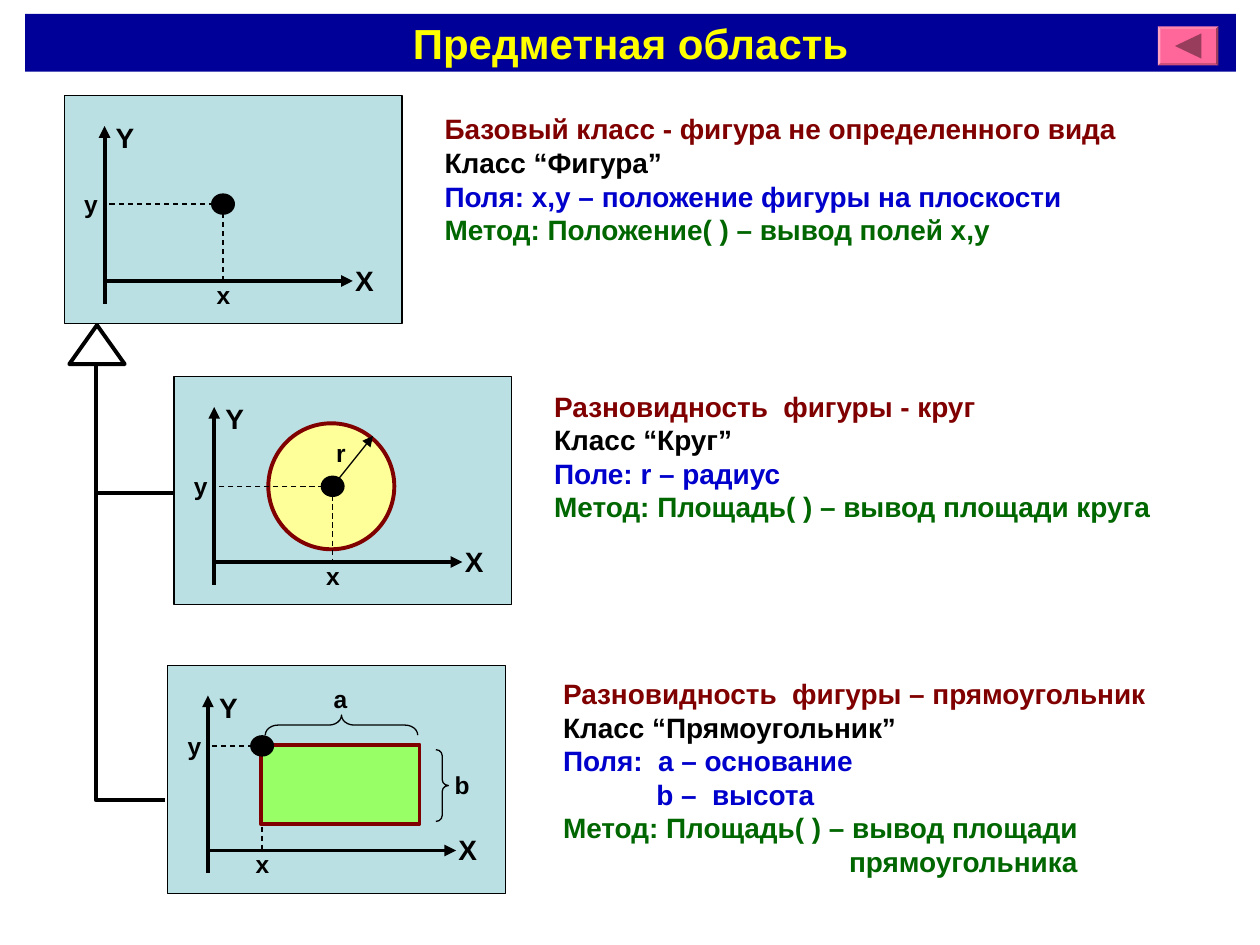
"""Build the slide on a class hierarchy of plane figures."""
from dataclasses import dataclass

from lxml.etree import SubElement
from pptx import Presentation
from pptx.dml.color import RGBColor
from pptx.enum.dml import MSO_LINE_DASH_STYLE as Dash
from pptx.enum.shapes import MSO_CONNECTOR as Connector, MSO_SHAPE as Shape
from pptx.enum.text import MSO_ANCHOR as Anchor, MSO_AUTO_SIZE as AutoSize, PP_ALIGN as Align
from pptx.oxml.ns import qn
from pptx.util import Inches, Pt


@dataclass(frozen=True)
class Theme:
    font: str = "Arial"
    dash_font: str = "Montserrat"
    black: str = "000000"
    banner: str = "000099"
    title: str = "FFFF00"
    button: str = "FF6699"
    button_mark: str = "993D5C"
    panel: str = "BBE0E3"
    circle: str = "FFFF99"
    rectangle: str = "99FF66"
    maroon: str = "800000"
    blue: str = "0000CC"
    green: str = "006600"
    title_size: float = 24
    text_size: float = 16
    label_size: float = 14
    thick: float = 2.25
    thin: float = 0.75


@dataclass(frozen=True)
class Figure:
    kind: Shape
    left: float
    top: float
    width: float
    height: float
    fill: str


@dataclass(frozen=True)
class Panel:
    left: float
    top: float
    point_x: float
    point_y: float
    guide_top: float
    figure: Figure | None = None


@dataclass(frozen=True)
class Line:
    text: str
    color: str
    indent: float = 0


@dataclass(frozen=True)
class Description:
    left: float
    top: float
    width: float
    height: float
    lines: tuple[Line, ...]
    wrap: bool = False


THEME = Theme()

PANELS = (
    Panel(0.51, 0.76, 1.77, 1.62, 1.62),
    Panel(1.38, 2.99, 2.64, 3.86, 3.86, Figure(Shape.OVAL, 2.13, 3.36, 1, 1, THEME.circle)),
    Panel(1.33, 5.28, 2.08, 5.92, 6.56,
          Figure(Shape.RECTANGLE, 2.07, 5.91, 1.26, 0.63, THEME.rectangle)),
)

DESCRIPTIONS = (
    Description(3.43, 0.84, 5.54, 1.17, (
        Line("Базовый класс - фигура не определенного вида", THEME.maroon),
        Line("Класс “Фигура”", THEME.black),
        Line("Поля: x,y – положение фигуры на плоскости", THEME.blue),
        Line("Метод: Положение( ) – вывод полей x,y", THEME.green))),
    Description(4.3, 3.04, 4.95, 1.17, (
        Line("Разновидность  фигуры - круг", THEME.maroon),
        Line("Класс “Круг”", THEME.black),
        Line("Поле: r – радиус", THEME.blue),
        Line("Метод: Площадь( ) – вывод площади круга", THEME.green))),
    Description(4.37, 5.32, 4.88, 1.7, (
        Line("Разновидность  фигуры – прямоугольник", THEME.maroon),
        Line("Класс “Прямоугольник”", THEME.black),
        Line("Поля:  a – основание", THEME.blue),
        Line("b –  высота", THEME.blue, 0.74),
        Line("Метод: Площадь( ) – вывод площади", THEME.green),
        Line("прямоугольника", THEME.green, 2.27)), True),
)


def style_font(font, size: float, color: str) -> None:
    font.name, font.size, font.bold = THEME.font, Pt(size), True
    font.color.rgb = RGBColor.from_string(color)


def style_shape(shape, fill: str | None, line: str | None, weight: float) -> None:
    shape.shadow.inherit = False
    if fill:
        shape.fill.solid()
        shape.fill.fore_color.rgb = RGBColor.from_string(fill)
    else:
        shape.fill.background()
    if line:
        shape.line.color.rgb = RGBColor.from_string(line)
        shape.line.width = Pt(weight)
    else:
        shape.line.fill.background()


def add_figure(page, kind: Shape, left: float, top: float, width: float, height: float,
               fill: str | None = None, line: str | None = None, weight: float = THEME.thin):
    shape = page.shapes.add_shape(kind, Inches(left), Inches(top), Inches(width), Inches(height))
    style_shape(shape, fill, line, weight)
    return shape


def add_line(page, x1: float, y1: float, x2: float, y2: float, weight: float = THEME.thin,
             arrow: bool = False, dashed: bool = False) -> None:
    line = page.shapes.add_connector(Connector.STRAIGHT, Inches(x1), Inches(y1), Inches(x2), Inches(y2))
    line.line.color.rgb = RGBColor.from_string(THEME.black)
    line.line.width = Pt(weight)
    if dashed:
        line.line.dash_style = Dash.DASH
    if arrow:
        SubElement(line.line._get_or_add_ln(), qn("a:tailEnd"), type="triangle")
    SubElement(line._element.spPr, qn("a:effectLst"))


def add_elbow(page, x: float, top: float, bottom: float, right: float) -> None:
    builder = page.shapes.build_freeform(Inches(x), Inches(top))
    builder.add_line_segments([(Inches(x), Inches(bottom)), (Inches(right), Inches(bottom))], close=False)
    style_shape(builder.convert_to_shape(), None, THEME.black, THEME.thick)


def add_text(page, block: Description, size: float) -> None:
    box = page.shapes.add_textbox(Inches(block.left), Inches(block.top),
                                  Inches(block.width), Inches(block.height))
    frame = box.text_frame
    frame.text = "\n".join(line.text for line in block.lines)
    frame.word_wrap = block.wrap
    frame.auto_size = AutoSize.SHAPE_TO_FIT_TEXT
    for para, line in zip(frame.paragraphs, block.lines):
        if line.indent:
            para._p.get_or_add_pPr().set("marL", str(Inches(line.indent)))
        for span in para.runs:
            style_font(span.font, size, line.color)


def add_label(page, text: str, left: float, top: float, size: float = THEME.label_size) -> None:
    width, height = (0.35, 0.37) if size == THEME.text_size else (0.31, 0.34)
    add_text(page, Description(left, top, width, height, (Line(text, THEME.black),)), size)


def draw_panel(page, panel: Panel) -> None:
    axis_x, axis_y = panel.left + 0.32, panel.top + 1.47
    add_figure(page, Shape.RECTANGLE, panel.left, panel.top, 2.68, 1.81, THEME.panel, THEME.black)
    add_line(page, axis_x, panel.top + 1.65, axis_x, panel.top + 0.24, THEME.thick, arrow=True)
    add_line(page, axis_x, axis_y, axis_x + 1.97, axis_y, THEME.thick, arrow=True)
    if panel.figure:
        shape = panel.figure
        add_figure(page, shape.kind, shape.left, shape.top, shape.width, shape.height,
                   shape.fill, THEME.maroon, THEME.thick)
    add_line(page, panel.point_x, panel.guide_top, panel.point_x, axis_y, dashed=True)
    add_line(page, panel.point_x, panel.point_y, axis_x, panel.point_y, dashed=True)
    add_figure(page, Shape.OVAL, panel.point_x - 0.09, panel.point_y - 0.08, 0.18, 0.16,
               THEME.black, THEME.black)
    add_label(page, "X", panel.left + 2.21, panel.top + 1.28, THEME.text_size)
    add_label(page, "Y", panel.left + 0.31, panel.top + 0.15, THEME.text_size)
    add_label(page, "x", panel.point_x - 0.15, panel.top + 1.41)
    add_label(page, "y", panel.left + 0.06, panel.point_y - 0.17)


def draw_header(page) -> None:
    banner = add_figure(page, Shape.RECTANGLE, 0.2, 0.11, 9.61, 0.46, THEME.banner)
    banner.text_frame.text = "Предметная область"
    banner.text_frame.vertical_anchor = Anchor.MIDDLE
    para = banner.text_frame.paragraphs[0]
    para.alignment = Align.CENTER
    style_font(para.runs[0].font, THEME.title_size, THEME.title)
    button = add_figure(page, Shape.BEVEL, 9.19, 0.21, 0.48, 0.31, THEME.button)
    button.adjustments[0] = 0.06
    mark = add_figure(page, Shape.ISOSCELES_TRIANGLE, 9.33, 0.26, 0.2, 0.21, THEME.button_mark)
    mark.rotation = 270


def draw_dimensions(page) -> None:
    add_line(page, 2.64, 3.86, 2.96, 3.46, arrow=True)
    add_label(page, "r", 2.57, 3.43)
    base = add_figure(page, Shape.LEFT_BRACE, 2.63, 5.15, 0.16, 1.21, line=THEME.black)
    base.rotation = 90
    base.adjustments[0] = 0.63
    side = add_figure(page, Shape.RIGHT_BRACE, 3.46, 5.95, 0.1, 0.57, line=THEME.black)
    side.adjustments[0] = 0.47
    add_label(page, "a", 2.55, 5.38)
    add_label(page, "b", 3.51, 6.06)


def main() -> None:
    deck = Presentation()
    deck.slide_width, deck.slide_height = Inches(10), Inches(7.5)
    page = deck.slides.add_slide(deck.slide_layouts[6])
    draw_header(page)
    for panel in PANELS:
        draw_panel(page, panel)
    draw_dimensions(page)
    add_figure(page, Shape.ISOSCELES_TRIANGLE, 0.55, 2.58, 0.44, 0.31, None, THEME.black, THEME.thick)
    add_elbow(page, 0.76, 2.88, 3.91, 1.38)
    add_elbow(page, 0.76, 3.91, 6.35, 1.31)
    for block in DESCRIPTIONS:
        add_text(page, block, THEME.text_size)
    deck.save("out.pptx")


if __name__ == "__main__":
    main()
